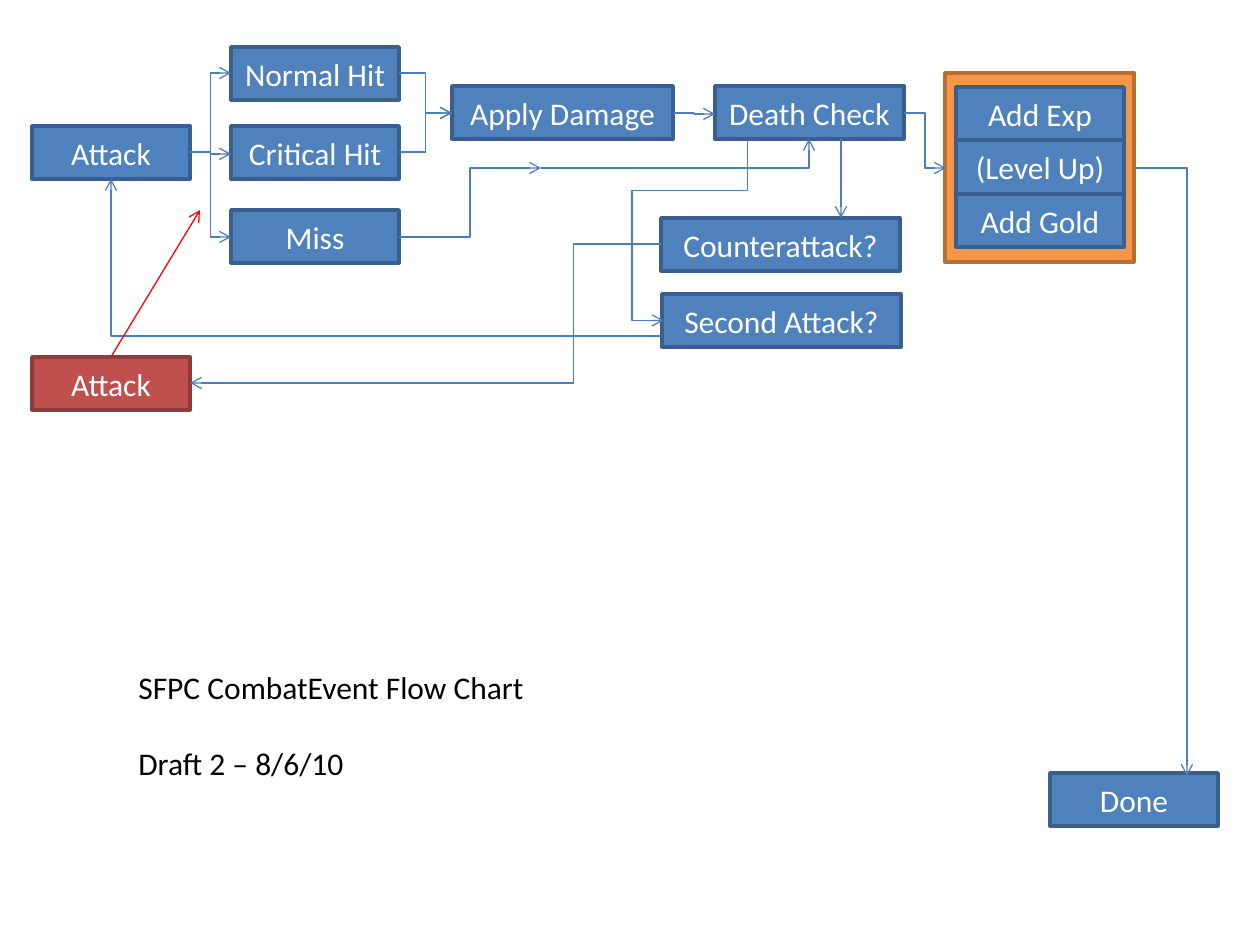
from pptx import Presentation
from pptx.dml.color import RGBColor
from pptx.enum.shapes import MSO_CONNECTOR, MSO_SHAPE
from pptx.enum.text import MSO_ANCHOR, MSO_AUTO_SIZE, PP_ALIGN
from pptx.oxml.ns import qn
from pptx.util import Emu, Pt
from lxml.etree import SubElement

BLUE, BLUE_EDGE, WIRE = "4F81BD", "3A5F8C", "4B7EBC"
BOX_H = 53


def px(n):
    return Emu(round(n * 914400 / 126))


def color(hex_code):
    return RGBColor.from_string(hex_code)


def style(p, hex_code):
    for r in p.runs:
        r.font.size = Pt(18)
        r.font.name = "Calibri"
        r.font.color.rgb = color(hex_code)


def add_box(s, x, y, w, text="", h=BOX_H, fill=BLUE, edge=BLUE_EDGE):
    sp = s.shapes.add_shape(MSO_SHAPE.RECTANGLE, px(x), px(y), px(w), px(h))
    sp.shadow.inherit = False
    sp.fill.solid()
    sp.fill.fore_color.rgb = color(fill)
    sp.line.color.rgb = color(edge)
    sp.line.width = Pt(2)
    if text:
        tf = sp.text_frame
        tf.text = text
        tf.vertical_anchor = MSO_ANCHOR.MIDDLE
        tf.paragraphs[0].alignment = PP_ALIGN.CENTER
        style(tf.paragraphs[0], "FFFFFF")


def add_arrow(s, x1, y1, x2, y2, preset="bentConnector3", adj=(), rot=0, line=WIRE):
    c = s.shapes.add_connector(MSO_CONNECTOR.STRAIGHT, px(x1), px(y1), px(x2), px(y2))
    c.line.color.rgb = color(line)
    c.line.width = Pt(0.75)
    sp_pr = c.element.spPr
    SubElement(sp_pr.get_or_add_ln(), qn("a:tailEnd"), type="arrow")
    SubElement(sp_pr, qn("a:effectLst"))
    if rot:
        sp_pr.find(qn("a:xfrm")).set("rot", str(rot * 60000))
    geom = sp_pr.find(qn("a:prstGeom"))
    geom.set("prst", preset)
    guides = geom.find(qn("a:avLst"))
    for i, value in enumerate(adj, 1):
        name = f"adj{i}"
        SubElement(guides, qn("a:gd"), name=name, fmla=f"val {round(value * 100000)}")


def add_steps(s, x, y):
    """Attack steps, from the first roll to the follow-up attacks."""
    for dx, dy, w, text in (
        (0, 79, 158, "Attack"),
        (199, 0, 168, "Normal Hit"),
        (199, 79, 168, "Critical Hit"),
        (199, 163, 168, "Miss"),
        (420, 39, 221, "Apply Damage"),
        (683, 39, 189, "Death Check"),
        (629, 171, 239, "Counterattack?"),
        (630, 247, 239, "Second Attack?"),
        (1018, 726, 168, "Done"),
    ):
        add_box(s, x + dx, y + dy, w, text)
    add_box(s, x, y + 310, 158, "Attack", fill="C0504D", edge="8E3B39")


def add_rewards(s, x, y):
    """Orange frame with the stacked rewards."""
    add_box(s, x, y, 189, h=189, fill="F79646", edge="B76F34")
    for i, text in enumerate(("Add Exp", "(Level Up)", "Add Gold")):
        add_box(s, x + 11, y + 14 + i * 53.5, 168, text)


def add_routes(s, x, y):
    """Arrows between the steps."""
    # Attack to its three outcomes
    for dy in (26, 107, 190):
        add_arrow(s, x + 158, y + 105, x + 199, y + dy)
    # Hits to damage
    for dy in (26, 105):
        add_arrow(s, x + 367, y + dy, x + 420, y + 66)
    # Remaining routes
    for x1, y1, x2, y2, *options in (
        (641, 66, 683, 67),
        (872, 66, 914, 121),
        (1103, 121, 1155, 729, "bentConnector2"),
        (809, 92, 809, 171, "line"),
        (584, 142, 763, 226, "bentConnector4", (0.274, 1.375), 90),
        (629, 197, 158, 336, "bentConnector3", (0.185,)),
        (629, 289, 79, 132, "bentConnector2"),
        (79, 310, 168, 163, "line", (), 0, "FF0000"),
        (367, 190, 509, 121),
        (509, 121, 777, 92, "bentConnector2"),
    ):
        add_arrow(s, x + x1, y + y1, x + x2, y + y2, *options)


def add_caption(s, x, y, w, h):
    """Chart name and draft date."""
    tf = s.shapes.add_textbox(px(x), px(y), px(w), px(h)).text_frame
    tf.word_wrap = False
    tf.auto_size = MSO_AUTO_SIZE.SHAPE_TO_FIT_TEXT
    tf.text = "SFPC CombatEvent Flow Chart\nDraft 2 – 8/6/10"
    for p in tf.paragraphs:
        style(p, "000000")
    tf.paragraphs[1].space_before = Pt(22)


prs = Presentation()
prs.slide_width, prs.slide_height = px(1260), px(945)
s = prs.slides.add_slide(prs.slide_layouts[6])
add_steps(s, 32, 47)
add_rewards(s, 945, 73)
add_routes(s, 32, 47)
add_caption(s, 126, 662, 414, 127)
prs.save("out.pptx")
